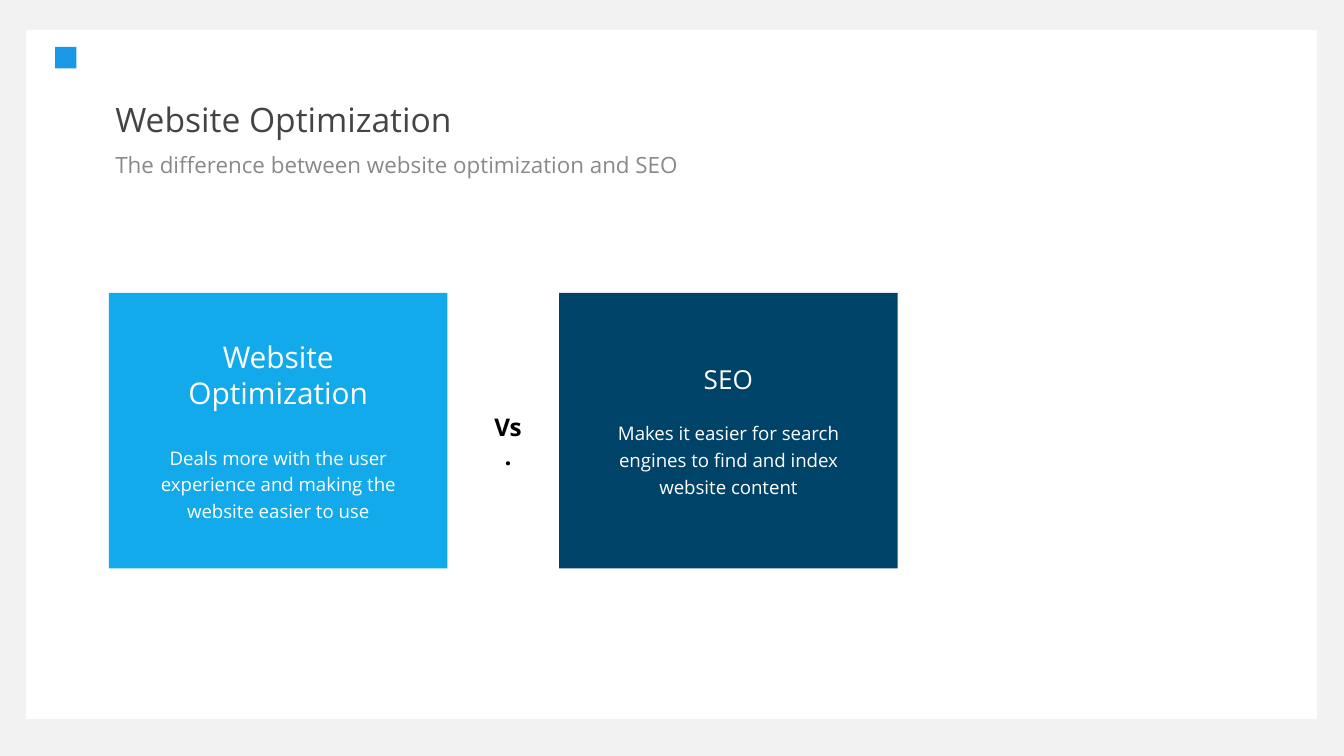
import pptx
import pptx.util
import pptx.dml.color
import pptx.enum.shapes
import pptx.enum.text

Inches = pptx.util.Inches
Pt = pptx.util.Pt
RGBColor = pptx.dml.color.RGBColor
Align = pptx.enum.text.PP_ALIGN
Anchor = pptx.enum.text.MSO_ANCHOR

FONT = "Open Sans"
BACKDROP = RGBColor(0xF2, 0xF2, 0xF2)
WHITE = RGBColor(0xFF, 0xFF, 0xFF)
BLACK = RGBColor(0x00, 0x00, 0x00)
TITLE_GRAY = RGBColor(0x44, 0x44, 0x44)
SUBTITLE_GRAY = RGBColor(0x89, 0x89, 0x89)
SKY = RGBColor(0x12, 0xAA, 0xEB)
NAVY = RGBColor(0x00, 0x43, 0x69)
MARK_BLUE = RGBColor(0x19, 0x98, 0xE6)

SLIDE_WIDTH = 10
SLIDE_HEIGHT = SLIDE_WIDTH * 9 / 16
CARD_LEFT, CARD_TOP = 0.81, 2.18
CARD_WIDTH, CARD_HEIGHT = 2.52, 2.05
CARD_STEP = 3.35
CARDS = [
    ("Website Optimization", 16, 16.8, SKY,
     "Deals more with the user experience and making the website easier to use"),
    ("SEO", 14, 12, NAVY,
     "Makes it easier for search engines to find and index website content"),
]


def add_rectangle(slide, left, top, width, height, color):
    shape = slide.shapes.add_shape(
        pptx.enum.shapes.MSO_SHAPE.RECTANGLE,
        Inches(left), Inches(top), Inches(width), Inches(height))
    shape.shadow.inherit = False
    shape.fill.solid()
    shape.fill.fore_color.rgb = color
    shape.line.fill.background()
    return shape


def write(para, text, size, color, align=Align.LEFT, spacing=1.0, bold=False):
    para.alignment = align
    para.line_spacing = spacing
    span = para.add_run()
    span.text = text
    span.font.name = FONT
    span.font.size = Pt(size)
    span.font.color.rgb = color
    span.font.bold = bold


def add_text(slide, left, top, width, height, text, size, color,
             anchor=Anchor.TOP, **style):
    box = slide.shapes.add_textbox(
        Inches(left), Inches(top), Inches(width), Inches(height))
    frame = box.text_frame
    frame.word_wrap = True
    frame.vertical_anchor = anchor
    write(frame.paragraphs[0], text, size, color, **style)


def add_card(slide, left, heading, size, gap, color, description):
    card = add_rectangle(slide, left, CARD_TOP, CARD_WIDTH, CARD_HEIGHT, color)
    frame = card.text_frame
    frame.word_wrap = True
    frame.vertical_anchor = Anchor.MIDDLE
    frame.margin_left = frame.margin_right = Inches(0.28)
    frame.margin_top = frame.margin_bottom = Inches(0.31)
    write(frame.paragraphs[0], heading, size, WHITE, Align.CENTER)
    para = frame.add_paragraph()
    para.space_before = Pt(gap)
    write(para, description, 10, WHITE, Align.CENTER, 1.2)


def main():
    deck = pptx.Presentation()
    deck.slide_width = Inches(SLIDE_WIDTH)
    deck.slide_height = Inches(SLIDE_HEIGHT)
    slide = deck.slides.add_slide(deck.slide_layouts[6])
    slide.background.fill.solid()
    slide.background.fill.fore_color.rgb = BACKDROP

    page = add_rectangle(slide, 0.2, 0.23, 9.59, 5.11, WHITE)
    page.line.color.rgb = WHITE
    page.line.width = Pt(1)

    add_text(slide, 0.76, 0.75, 7.14, 0.31, "Website Optimization",
             18, TITLE_GRAY, Anchor.MIDDLE, spacing=0.9)
    add_text(slide, 0.76, 1.1, 7.15, 0.36,
             "The difference between website optimization and SEO",
             12, SUBTITLE_GRAY, spacing=0.9)

    for index, card in enumerate(CARDS):
        add_card(slide, CARD_LEFT + index * CARD_STEP, *card)
    add_text(slide, 3.56, 3.02, 0.44, 0.35, "Vs.", 13, BLACK,
             align=Align.CENTER, bold=True)

    add_rectangle(slide, 0.41, 0.35, 0.16, 0.16, MARK_BLUE)
    deck.save("out.pptx")


if __name__ == "__main__":
    main()
